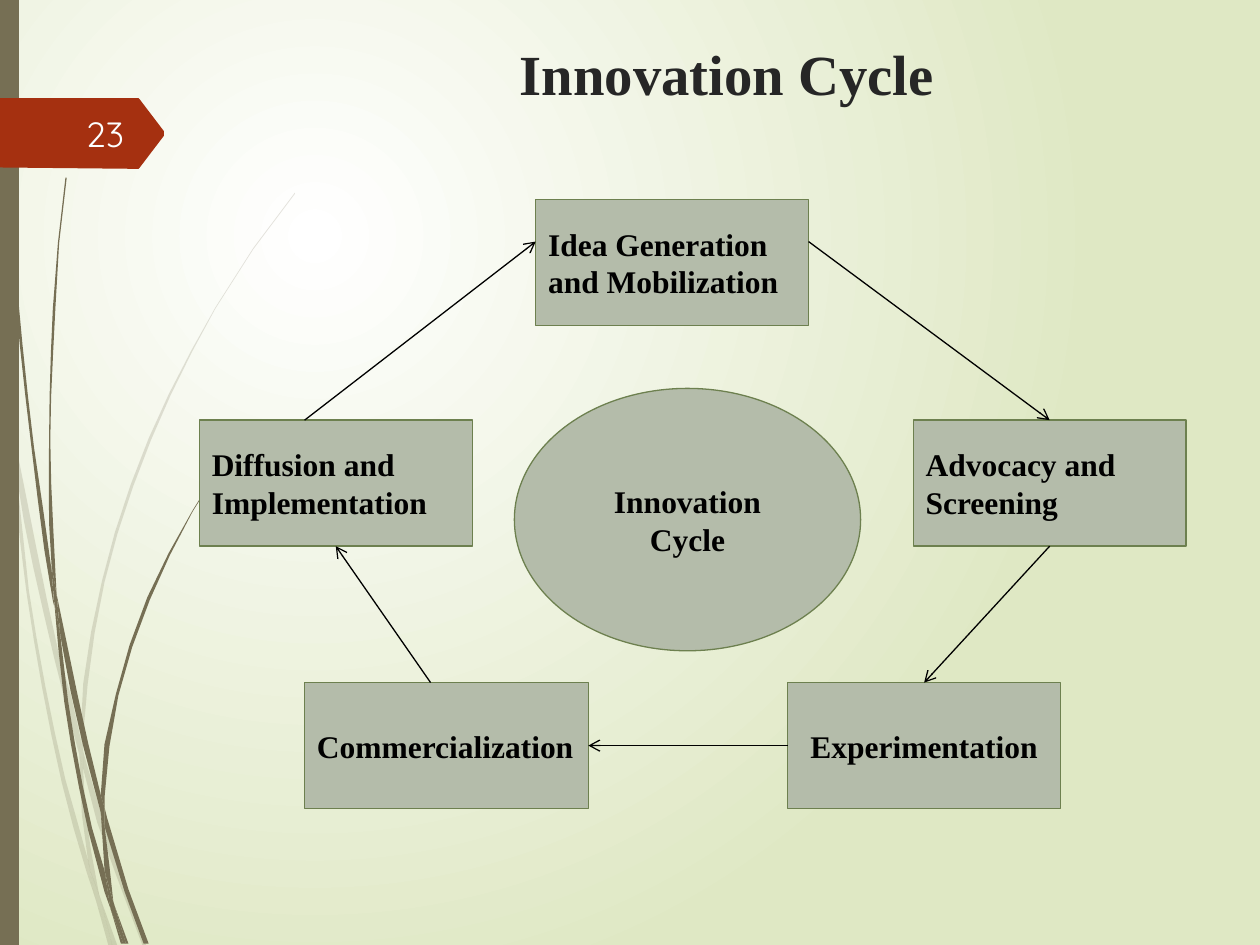
from dataclasses import dataclass
from math import hypot

from lxml import etree
from pptx import Presentation
from pptx import util as u
from pptx.dml.color import RGBColor
from pptx.enum import shapes, text
from pptx.oxml import parse_xml
from pptx.oxml.ns import nsdecls, qn

SERIF = "Times New Roman"
BROWN, RUST, SAGE, OLIVE, BLACK = "766F54", "A53010", "B4BCAA", "6D804F", "000000"
UNIT = 0.0254  # cm per step of the outline grid
REACH = 40     # grid steps covered by one line of a curve

# Outlines of the grass blades, as x,y on the grid
FAINT = [
    "8,350 6,322 0,282 0,299 8,344",
    "43,522 63,599 64,586 47,520 11,345 13,376",
    "69,607 66,596 66,610 92,694 113,750 116,750 95,692",
    "89,750 93,750 79,711",
    "70,683 52,619 23,469 13,376 8,350 21,470 49,621 69,693 76,714 74,707",
    "63,599 65,646 70,683 72,692 79,711 78,706 68,646 66,610",
    "66,584 83,462 120,349 171,245 201,198 234,154 234,153 "
    "201,197 171,244 118,348 81,461 64,584 66,596",
    "76,714 86,750 89,750",
    "66,610 66,596 64,586 63,599",
    "72,692 70,683 74,707 76,714 89,750 79,711",
]
SOLID = [
    "5,110 12,233 25,355 42,477 43,481 41,453 27,355 14,232 6,109 3,0 2,0",
    "66,592 80,645 80,631 70,590 45,472 48,505",
    "85,649 83,641 83,656 99,708 114,749 118,749 102,706",
    "83,691 73,657 54,556 48,505 43,477 51,557 70,659 83,708 88,722 87,717",
    "45,472 44,453 40,349 44,245 47,193 53,141 52,141 46,193 42,245 39,349 41,449",
    "100,749 102,749 91,719",
    "43,477 48,505 45,472 41,449 41,453",
    "83,633 94,552 119,476 153,406 173,374 196,344 195,344 "
    "173,373 153,405 117,474 92,551 80,631 83,641",
    "88,722 96,749 98,749",
    "80,645 83,691 87,706 91,719 90,716 83,656 81,651",
    "80,645 81,651 83,656 83,641 80,631",
    "87,706 83,691 87,717 88,722 98,749 100,749 91,719",
]
BADGE = "0,78 110,78 111,79 130,104 130,108 111,133 110,134 102,134 0,133"


@dataclass
class Node:
    label: str
    left: float
    top: float
    width: float = 5.5
    height: float = 2.54
    align: text.PP_ALIGN = text.PP_ALIGN.LEFT
    kind: shapes.MSO_SHAPE = shapes.MSO_SHAPE.RECTANGLE


@dataclass
class Link:
    start: tuple
    end: tuple
    tail: tuple = ()  # node name and side where the line begins
    head: tuple = ()  # node name and side where the arrow ends


MID = text.PP_ALIGN.CENTER
NODES = {
    "hub": Node("Innovation Cycle", 10.37, 7.83, 6.98, 5.29, MID, shapes.MSO_SHAPE.OVAL),
    "sell": Node("Commercialization", 6.14, 13.76, 5.72),
    "test": Node("Experimentation", 15.88, 13.76, align=MID),
    "screen": Node("Advocacy and Screening", 18.41, 8.47),
    "spread": Node("Diffusion and Implementation", 4.02, 8.47),
    "idea": Node("Idea Generation and Mobilization", 10.8, 4.02),
}
LINKS = [
    Link((16.3, 4.87), (21.16, 8.47), head=("screen", 0)),
    Link((21.16, 11.01), (18.63, 13.76), ("screen", 2), ("test", 0)),
    Link((15.88, 15.03), (11.86, 15.03), ("test", 1), ("sell", 3)),
    Link((8.68, 13.76), (6.77, 11.01), head=("spread", 2)),
    Link((6.14, 8.47), (10.8, 4.87)),
]


def tint(fmt, code: str) -> None:
    """Make a fill, a line's fill or a font take one solid colour."""
    if hasattr(fmt, "solid"):
        fmt.solid()
        fmt = fmt.fore_color
    else:
        fmt = fmt.color
    fmt.rgb = RGBColor.from_string(code)


def style(para, size: float, face: str, code: str, bold: bool, align) -> None:
    para.alignment = align
    para.font.size, para.font.name, para.font.bold = u.Pt(size), face, bold
    tint(para.font, code)


def place(shape, left: float, top: float, width: float, height: float) -> None:
    shape.left, shape.top = u.Cm(left), u.Cm(top)
    shape.width, shape.height = u.Cm(width), u.Cm(height)


def aim(a: tuple, b: tuple) -> tuple:
    size = hypot(b[0] - a[0], b[1] - a[1])
    return (b[0] - a[0]) / size, (b[1] - a[1]) / size


def bend(pts: list) -> list:
    """Round a closed outline, keeping its sharp corners."""
    n, dirs = len(pts), []
    for i, p in enumerate(pts):
        come, go = aim(pts[i - 1], p), aim(p, pts[(i + 1) % n])
        if come[0] * go[0] + come[1] * go[1] > 0.8:
            come = go = aim((0, 0), (come[0] + go[0], come[1] + go[1]))
        dirs.append((come, go))
    out = []
    for i, p in enumerate(pts):
        j = (i + 1) % n
        q = pts[j]
        size = hypot(q[0] - p[0], q[1] - p[1])
        arm, steps = size / 3, max(1, round(size / REACH))
        for t in (s / steps for s in range(steps)):
            out.append(tuple(
                (1 - t) ** 3 * p[k]
                + 3 * t * (1 - t) ** 2 * (p[k] + arm * dirs[i][1][k])
                + 3 * t * t * (1 - t) * (q[k] - arm * dirs[j][0][k])
                + t ** 3 * q[k] for k in (0, 1)))
    return out


def draw_form(slide, plan: str, code: str, curved: bool = True, alpha: int = 100) -> None:
    pts = [tuple(map(int, pair.split(","))) for pair in plan.split()]
    pts = [(u.Cm(x * UNIT), u.Cm(y * UNIT)) for x, y in (bend(pts) if curved else pts)]
    pen = slide.shapes.build_freeform(*pts[0])
    pen.add_line_segments(pts[1:], close=True)
    form = pen.convert_to_shape()
    form.shadow.inherit = False
    tint(form.fill, code)
    form.line.fill.background()
    if alpha < 100:
        tone = form.fill._xPr.find(".//" + qn("a:srgbClr"))
        etree.SubElement(tone, qn("a:alpha")).set("val", str(alpha * 1000))


def draw_box(slide, kind, left: float, top: float, width: float, height: float, code: str):
    box = slide.shapes.add_shape(kind, 0, 0, 0, 0)
    place(box, left, top, width, height)
    box.shadow.inherit = False
    tint(box.fill, code)
    box.line.fill.background()
    return box


def draw_node(slide, node: Node):
    box = draw_box(slide, node.kind, node.left, node.top, node.width, node.height, SAGE)
    tint(box.line.fill, OLIVE)
    box.line.width = u.Pt(0.75)
    box.text_frame.text = node.label
    style(box.text_frame.paragraphs[0], 18, SERIF, BLACK, True, node.align)
    return box


def draw_link(slide, link: Link, boxes: dict) -> None:
    ends = [u.Cm(v) for v in link.start + link.end]
    line = slide.shapes.add_connector(shapes.MSO_CONNECTOR.STRAIGHT, *ends)
    if link.tail:
        line.begin_connect(boxes[link.tail[0]], link.tail[1])
    if link.head:
        line.end_connect(boxes[link.head[0]], link.head[1])
    tint(line.line.fill, BLACK)
    line.line.width = u.Pt(0.75)
    etree.SubElement(line.line._get_or_add_ln(), qn("a:tailEnd")).set("type", "arrow")
    etree.SubElement(line._element.spPr, qn("a:effectLst"))


def main() -> None:
    deck = Presentation()
    deck.slide_width, deck.slide_height = u.Cm(25.4), u.Cm(19.05)
    slide = deck.slides.add_slide(deck.slide_layouts[5])
    slide._element.cSld.insert(0, parse_xml(
        f'<p:bg {nsdecls("p", "a")}><p:bgPr><a:gradFill rotWithShape="1"><a:gsLst>'
        '<a:gs pos="0"><a:srgbClr val="FFFFFF"/></a:gs>'
        '<a:gs pos="100000"><a:srgbClr val="DFE8C4"/></a:gs></a:gsLst>'
        '<a:path path="circle"><a:fillToRect l="50000" t="50000" r="100000" b="100000"/>'
        '</a:path></a:gradFill><a:effectLst/></p:bgPr></p:bg>'))
    # Grass blades, side bar and number badge
    for plan in FAINT:
        draw_form(slide, plan, BROWN, alpha=20)
    for plan in SOLID:
        draw_form(slide, plan, BROWN)
    draw_box(slide, shapes.MSO_SHAPE.RECTANGLE, 0, 0, 0.38, 19.05, BROWN)
    draw_form(slide, BADGE, RUST, curved=False)
    # Title and slide number
    title, number = slide.shapes.title, slide.shapes.add_textbox(0, 0, 0, 0)
    place(title, 5.51, 0.64, 18.57, 1.65)
    title.text_frame.text = "Innovation Cycle "
    title.text_frame.vertical_anchor = text.MSO_ANCHOR.BOTTOM
    style(title.text_frame.paragraphs[0], 32.4, SERIF, "262626", True, MID)
    place(number, 1.12, 2.18, 1.63, 1.02)
    number.text_frame.text = "23"
    number.text_frame.word_wrap = True
    number.text_frame.vertical_anchor = text.MSO_ANCHOR.MIDDLE
    style(number.text_frame.paragraphs[0], 20, "Quicksand", "FEFFFF", False, text.PP_ALIGN.RIGHT)
    # Cycle
    boxes = {name: draw_node(slide, node) for name, node in NODES.items()}
    for link in LINKS:
        draw_link(slide, link, boxes)
    deck.save("out.pptx")


if __name__ == "__main__":
    main()
